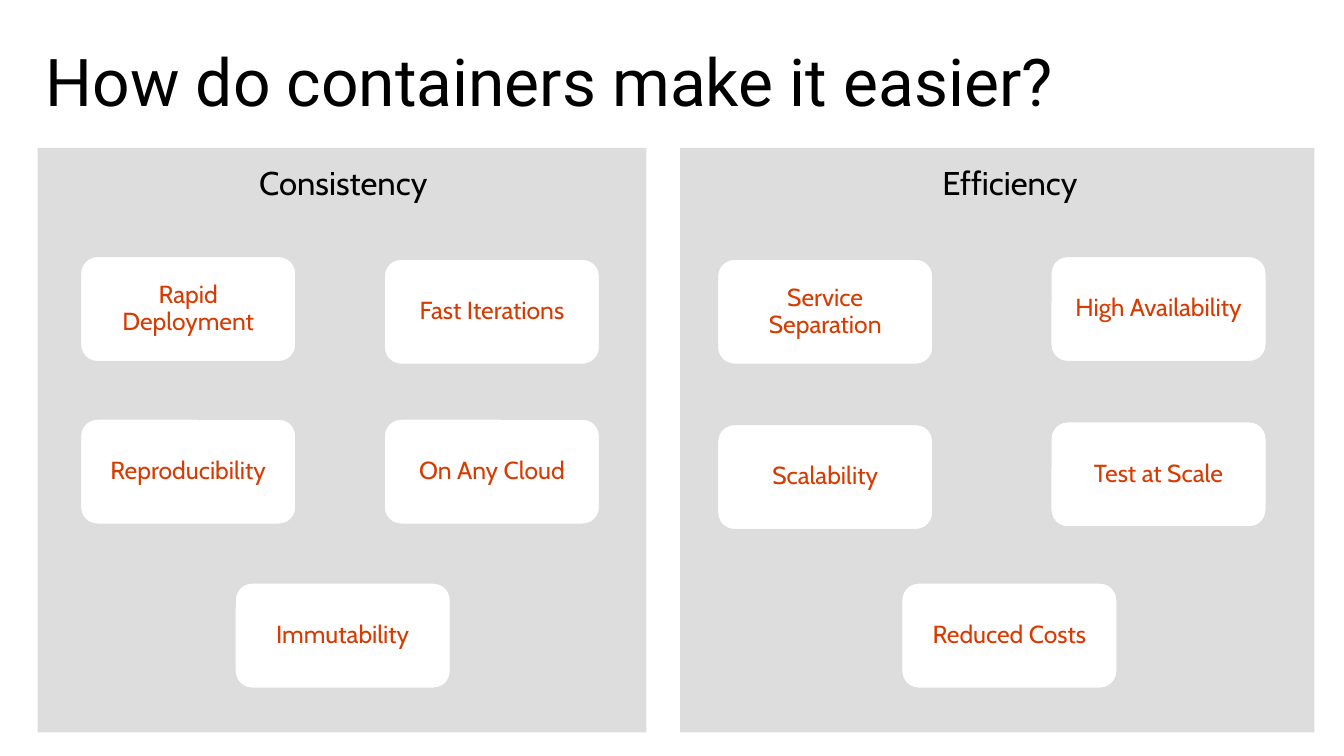
from pptx import Presentation
from pptx.dml.color import RGBColor
from pptx.enum.shapes import MSO_SHAPE as Shape
from pptx.enum.text import MSO_ANCHOR as Anchor, PP_ALIGN as Align
from pptx.util import Inches, Pt

CARD_WIDTH, CARD_HEIGHT = 1.62, 0.8
HEADING_WIDTH, HEADING_HEIGHT = 3.19, 1.65
PANEL_TOP, PANEL_HEIGHT = 1.1, 4.35
GREY, WHITE, BLACK, ORANGE = "DDDDDD", "FFFFFF", "000000", "D83B01"

TITLE_FORMAT = {"name": "Roboto", "size": Pt(35.3)}
HEADING_FORMAT = {"name": "Cabin", "size": Pt(17.6)}
CARD_FORMAT = {"name": "Cabin", "size": Pt(13.2)}
TITLE_PARAGRAPH = {"alignment": Align.LEFT}
CENTRED_PARAGRAPH = {"alignment": Align.CENTER, "line_spacing": 0.9}

PANELS = [
    {
        "left": 0.28, "width": 4.53, "heading": ("Consistency", 0.68),
        "cards": [
            ("Rapid\nDeployment", 0.31, 0.8),
            ("Fast Iterations", 2.57, 0.82),
            ("Reproducibility", 0.31, 2.01),
            ("On Any Cloud", 2.57, 2.01),
            ("Immutability", 1.46, 3.23),
        ],
    },
    {
        "left": 5.06, "width": 4.72, "heading": ("Efficiency", 0.86),
        "cards": [
            ("Service Separation", 0.27, 0.82),
            ("High Availability", 2.75, 0.8),
            ("Scalability", 0.27, 2.05),
            ("Test at Scale", 2.75, 2.03),
            ("Reduced Costs", 1.64, 3.23),
        ],
    },
]


def colour(value):
    return RGBColor.from_string(value)


def box(left, top, width, height):
    return [Inches(value) for value in (left, top, width, height)]


def apply_format(target, values):
    for name, value in values.items():
        setattr(target, name, value)


def write_text(shape, text, font_format, text_colour, paragraph_format, insets):
    frame = shape.text_frame
    side, end = (Inches(value) for value in insets)
    apply_format(frame, {
        "word_wrap": True, "vertical_anchor": Anchor.MIDDLE,
        "margin_left": side, "margin_right": side,
        "margin_top": end, "margin_bottom": end,
    })
    frame.text = text
    for paragraph in frame.paragraphs:
        apply_format(paragraph, paragraph_format)
        apply_format(paragraph.font, font_format)
        paragraph.font.color.rgb = colour(text_colour)


def add_block(slide, kind, bounds, fill):
    shape = slide.shapes.add_shape(kind, *box(*bounds))
    shape.shadow.inherit = False
    shape.fill.solid()
    shape.fill.fore_color.rgb = colour(fill)
    shape.line.fill.background()
    return shape


def add_title(slide, bounds, text):
    title = slide.shapes.add_textbox(*box(*bounds))
    write_text(title, text, TITLE_FORMAT, BLACK, TITLE_PARAGRAPH, (0.12, 0.07))


def add_card(slide, left, top, text):
    bounds = (left, top, CARD_WIDTH, CARD_HEIGHT)
    card = add_block(slide, Shape.ROUNDED_RECTANGLE, bounds, WHITE)
    card.line.color.rgb = colour(GREY)
    card.line.width = Pt(2)
    write_text(card, text, CARD_FORMAT, ORANGE, CENTRED_PARAGRAPH, (0.15, 0.12))


def add_panel(slide, left, top, width, height, heading, cards):
    add_block(slide, Shape.RECTANGLE, (left, top, width, height), GREY)
    text, offset = heading
    label = slide.shapes.add_textbox(
        *box(left + offset, top - 0.55, HEADING_WIDTH, HEADING_HEIGHT))
    write_text(label, text, HEADING_FORMAT, BLACK, CENTRED_PARAGRAPH, (0.15, 0.12))
    for text, across, down in cards:
        add_card(slide, left + across, top + down, text)


def main():
    presentation = Presentation()
    presentation.slide_width = Inches(10)
    presentation.slide_height = presentation.slide_width * 9 // 16
    slide = presentation.slides.add_slide(presentation.slide_layouts[6])
    add_title(slide, (0.22, 0.22, 9.56, 0.76), "How do containers make it easier?")
    for panel in PANELS:
        add_panel(slide, top=PANEL_TOP, height=PANEL_HEIGHT, **panel)
    presentation.save("out.pptx")


if __name__ == "__main__":
    main()
